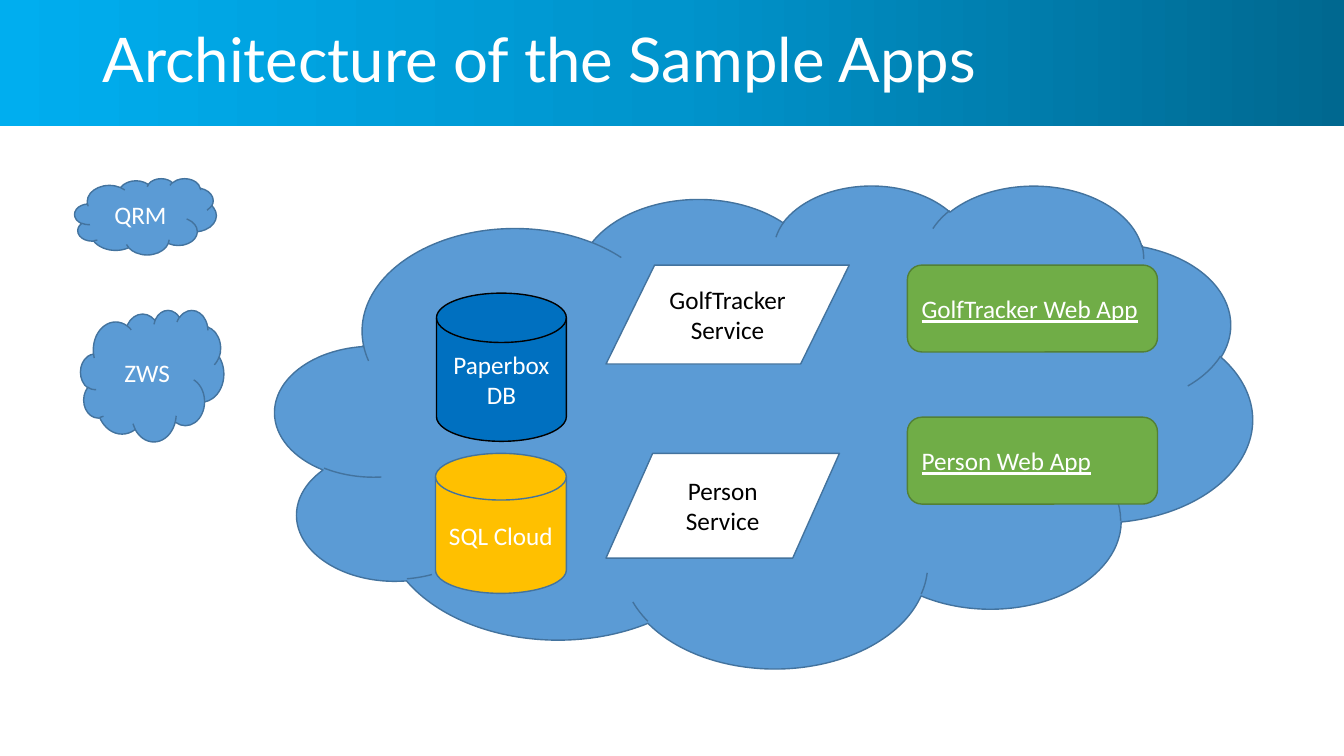
import copy

import pptx
import pptx.dml.color
import pptx.enum.shapes
import pptx.enum.text
import pptx.oxml.ns
import pptx.util

WIDTH, HEIGHT = 13.33, 7.5
COLOURS = {
    "banner_start": "00AEEF", "banner_middle": "0094CC", "banner_end": "006890",
    "cloud": "5B9BD5", "edge": "43739E", "gold": "FFC000", "blue": "0070C0",
    "green": "70AD47", "green_edge": "538035", "white": "FFFFFF", "black": "000000",
}
KINDS = pptx.enum.shapes.MSO_SHAPE
ALIGN = pptx.enum.text.PP_ALIGN


def colour(name):
    """Return the named colour."""
    return pptx.dml.color.RGBColor.from_string(COLOURS[name])


def inside(box, left, top, width, height):
    """Return the lengths of a part given in percent of its box."""
    x, y, w, h = box
    return (x + left * w / 100, y + top * h / 100, width * w / 100, height * h / 100)


def write(shape, text, size, font, ink, align, underline=None):
    """Write one vertically centred paragraph in a shape."""
    frame = shape.text_frame
    frame.word_wrap = True
    frame.vertical_anchor = pptx.enum.text.MSO_ANCHOR.MIDDLE
    para = frame.paragraphs[0]
    para.alignment = align
    span = para.add_run()
    span.text = text
    span.font.size = pptx.util.Pt(size)
    span.font.name = font
    span.font.underline = underline
    span.font.color.rgb = colour(ink)
    return para


def add_shape(page, kind, box, fill, edge="edge"):
    """Add a flat filled shape with a thin outline."""
    shape = page.shapes.add_shape(kind, *map(pptx.util.Inches, box))
    shape.shadow.inherit = False
    shape.fill.solid()
    shape.fill.fore_color.rgb = colour(fill)
    shape.line.color.rgb = colour(edge)
    shape.line.width = pptx.util.Pt(1)
    return shape


def add_label(page, kind, box, text, fill, edge="edge", ink="white",
              align=ALIGN.CENTER, underline=None):
    """Add a shape with an 18 point label."""
    shape = add_shape(page, kind, box, fill, edge)
    write(shape, text, 18, "Calibri", ink, align, underline)


def add_banner(page, box, title):
    """Add the gradient band and its title."""
    band = add_shape(page, KINDS.RECTANGLE, box, "banner_start")
    band.line.fill.background()
    band.fill.gradient()
    band.fill.gradient_angle = 0
    stops = band.fill.gradient_stops
    for stop, name, position in zip(stops, ("banner_middle", "banner_end"), (0.5, 1)):
        stop.color.rgb = colour(name)
        stop.position = position
    stop_list = band.element.find(".//" + pptx.oxml.ns.qn("a:gsLst"))
    stop_list.insert(0, copy.deepcopy(stop_list[0]))
    first = band.fill.gradient_stops[0]
    first.color.rgb = colour("banner_start")
    first.position = 0
    holder = page.shapes.add_textbox(
        *map(pptx.util.Inches, inside(box, 6.9, 0, 86.3, 100)))
    para = write(holder, title, 44, "Lato", "white", ALIGN.LEFT)
    para.line_spacing = 0.9


def add_other_clouds(page, box):
    """Add the small clouds of the other providers."""
    for text, part in (("QRM", (0, 0, 95, 29)), ("ZWS", (4, 50, 96, 50))):
        add_label(page, KINDS.CLOUD, inside(box, *part), text, "cloud")


def add_main_cloud(page, box):
    """Add the large cloud with its stores, services and web apps."""
    add_shape(page, KINDS.CLOUD, box, "cloud")
    stores = (("SQL Cloud", "gold", "edge", (16.4, 55.7, 13.4, 29)),
              ("Paperbox DB", "blue", "black", (16.5, 22.5, 13.3, 30.7)))
    for text, fill, edge, part in stores:
        add_label(page, KINDS.FLOWCHART_MAGNETIC_DISK, inside(box, *part),
                  text, fill, edge)
    services = (("GolfTracker Service", (33.85, 16.7, 24.9, 20.5)),
                ("Person Service", (33.85, 55.7, 23.9, 21.7)))
    for text, part in services:
        add_label(page, KINDS.FLOWCHART_DATA, inside(box, *part),
                  text, "white", ink="black")
    for row, text in enumerate(("GolfTracker Web App", "Person Web App")):
        part = inside(box, 64.7, 16.7 + row * 31.5, 25.6, 18)
        add_label(page, KINDS.ROUNDED_RECTANGLE, part, text, "green",
                  "green_edge", align=ALIGN.LEFT, underline=True)


def main():
    """Build and save the slide."""
    deck = pptx.Presentation()
    deck.slide_width = pptx.util.Inches(WIDTH)
    deck.slide_height = pptx.util.Inches(HEIGHT)
    page = deck.slides.add_slide(deck.slide_layouts[6])
    add_banner(page, (0, 0, WIDTH, HEIGHT / 6), "Architecture of the Sample Apps")
    add_main_cloud(page, (2.73, 1.83, 9.69, 4.79))
    add_other_clouds(page, (0.74, 1.77, 1.48, 2.61))
    deck.save("out.pptx")


if __name__ == "__main__":
    main()
